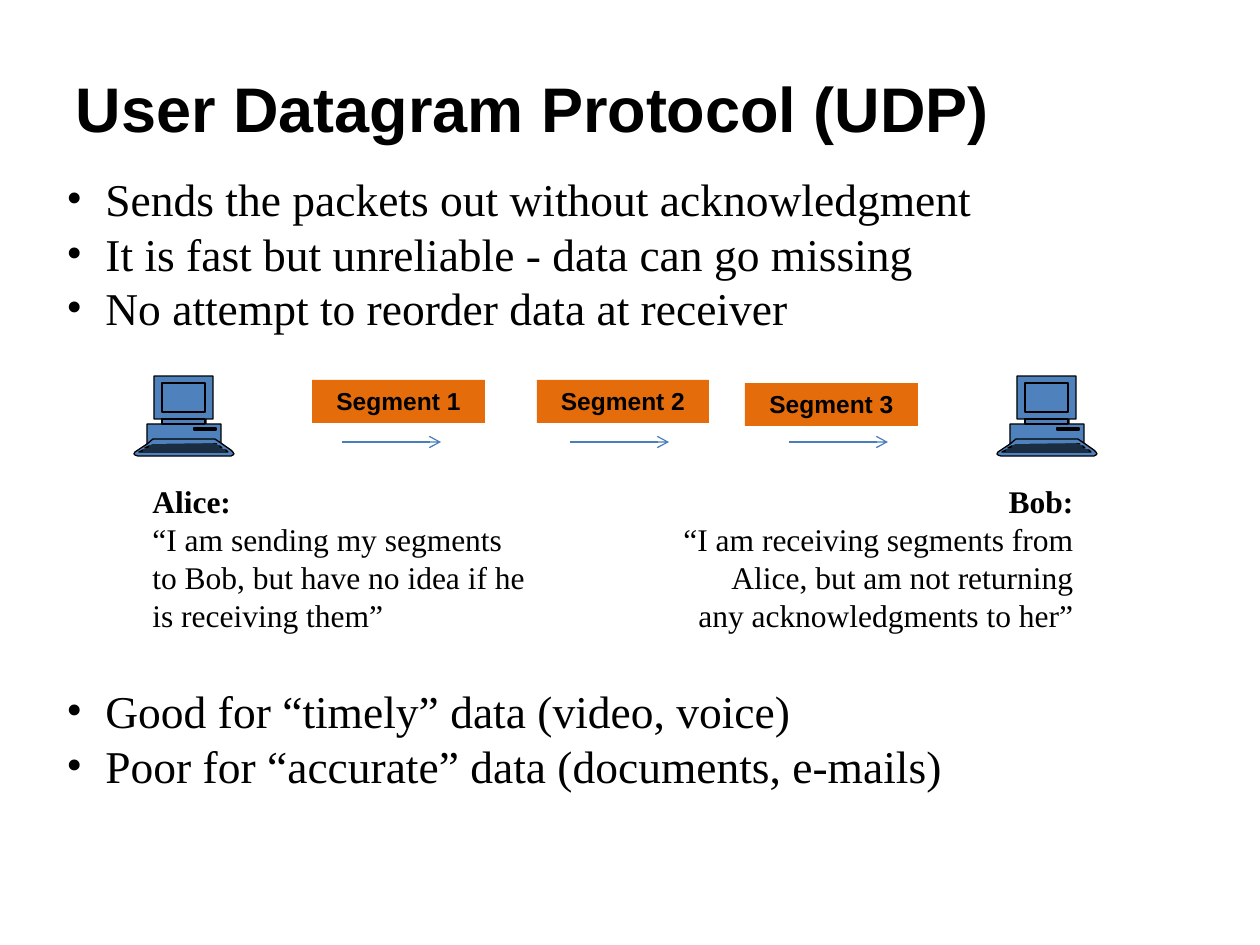
import copy
from dataclasses import dataclass

import pptx
import pptx.dml.color
import pptx.enum.shapes
import pptx.enum.text
import pptx.oxml
import pptx.oxml.ns
import pptx.util

PX = 914400 / 126
BLACK = pptx.dml.color.RGBColor(0x00, 0x00, 0x00)
ORANGE = pptx.dml.color.RGBColor(0xE4, 0x6C, 0x0A)
COMPUTER_BLUE = pptx.dml.color.RGBColor(0x4F, 0x81, 0xBD)
ARROW_BLUE = pptx.dml.color.RGBColor(0x4A, 0x7E, 0xBB)
SANS = "Arial"
SERIF = "Times New Roman"
ALIGN = pptx.enum.text.PP_ALIGN
ANCHOR = pptx.enum.text.MSO_ANCHOR
BULLET_INDENT = 39


@dataclass(frozen=True)
class Box:
    left: int
    top: int
    width: int
    height: int

    def emu(self) -> tuple:
        return tuple(px(n) for n in (self.left, self.top, self.width, self.height))


@dataclass(frozen=True)
class Segment:
    label: str
    box: Box
    arrow_left: int


@dataclass(frozen=True)
class Contour:
    points: tuple
    closed: bool = True


@dataclass(frozen=True)
class Speaker:
    name: str
    lines: tuple
    box: Box
    alignment: ALIGN
    wrap: bool


TITLE_BOX = Box(63, 39, 1134, 137)
ARROW_TOP, ARROW_LENGTH = 442, 99
COMPUTER_TOP = 376
COMPUTER_LEFTS = (134, 997)

SEGMENTS = (
    Segment("Segment 1", Box(312, 380, 173, 43), 342),
    Segment("Segment 2", Box(537, 380, 172, 43), 570),
    Segment("Segment 3", Box(745, 383, 173, 43), 789),
)

SPEAKERS = (
    Speaker("Alice:", ("“I am sending my segments", "to Bob, but have no idea if he",
                       "is receiving them”"),
            Box(140, 476, 398, 164), ALIGN.LEFT, False),
    Speaker("Bob:", ("“I am receiving segments from Alice, but am not returning "
                     "any acknowledgments to her”",),
            Box(669, 476, 417, 164), ALIGN.RIGHT, True),
)

BULLET_LISTS = (
    (Box(54, 165, 1131, 176), (
        "Sends the packets out without acknowledgment",
        "It is fast but unreliable - data can go missing",
        "No attempt to reorder data at receiver")),
    (Box(54, 677, 1131, 122), (
        "Good for “timely” data (video, voice)",
        "Poor for “accurate” data (documents, e-mails)")),
)


def rectangle(left: int, top: int, right: int, bottom: int) -> Contour:
    return Contour(((left, top), (left, bottom), (right, bottom), (right, top)))


COMPUTER = (
    Contour(((97, 74), (87, 67), (87, 48), (72, 48), (72, 43), (79, 43), (79, 0),
             (20, 0), (20, 43), (29, 43), (29, 48), (13, 48), (13, 68), (4, 74),
             (1, 76), (0, 78), (1, 79), (4, 80), (97, 80), (99, 79), (100, 78),
             (99, 76))),
    Contour(((83, 68), (79, 66), (20, 66), (18, 68))),
    Contour(((88, 72), (86, 70), (15, 70), (11, 72))),
    Contour(((94, 76), (92, 74), (9, 74), (5, 76))),
    Contour(((87, 67), (81, 63), (19, 63), (13, 68)), closed=False),
    rectangle(60, 52, 82, 54),
    rectangle(28, 7, 71, 36),
    rectangle(28, 43, 71, 48),
)


def px(pixels: int) -> pptx.util.Emu:
    return pptx.util.Emu(round(pixels * PX))


def add_bullet(paragraph) -> None:
    properties = paragraph._p.get_or_add_pPr()
    properties.set("marL", str(px(BULLET_INDENT)))
    properties.set("indent", str(-px(BULLET_INDENT)))
    namespace = pptx.oxml.ns.nsdecls("a")
    for xml in (
        f'<a:buClr {namespace}><a:srgbClr val="{BLACK}"/></a:buClr>',
        f'<a:buFont {namespace} typeface="{SERIF}"/>',
        f'<a:buChar {namespace} char="•"/>',
    ):
        properties.append(pptx.oxml.parse_xml(xml))


def write_text(frame, lines: tuple, *, font: str, size: int, bold_lines: int = 0,
               alignment: ALIGN = ALIGN.LEFT, anchor: ANCHOR = ANCHOR.TOP,
               wrap: bool = True, bulleted: bool = False) -> None:
    """Fill a text frame, one paragraph a line, the first bold_lines in bold."""
    frame.word_wrap = wrap
    frame.auto_size = pptx.enum.text.MSO_AUTO_SIZE.NONE
    frame.vertical_anchor = anchor
    for index, line in enumerate(lines):
        paragraph = frame.add_paragraph() if index else frame.paragraphs[0]
        paragraph.alignment = alignment
        if bulleted:
            add_bullet(paragraph)
        run = paragraph.add_run()
        run.text = line
        run.font.name = font
        run.font.size = pptx.util.Pt(size)
        run.font.bold = index < bold_lines
        run.font.color.rgb = BLACK


def add_computer(slide, left: int) -> None:
    builder = slide.shapes.build_freeform(*COMPUTER[0].points[0], scale=PX)
    for index, contour in enumerate(COMPUTER):
        if index:
            builder.move_to(*contour.points[0])
        builder.add_line_segments(contour.points[1:], close=contour.closed)
    shape = builder.convert_to_shape(px(left), px(COMPUTER_TOP))
    split_contours(shape)
    shape.shadow.inherit = False
    shape.fill.solid()
    shape.fill.fore_color.rgb = COMPUTER_BLUE
    shape.line.color.rgb = BLACK
    shape.line.width = pptx.util.Pt(0.75)


def split_contours(shape) -> None:
    """Give each contour its own path, so that inner ones are not cut out as holes."""
    outline = shape._element.find(".//" + pptx.oxml.ns.qn("a:path"))
    steps = list(outline)
    current = outline
    for step in steps[1:]:
        if step.tag == pptx.oxml.ns.qn("a:moveTo"):
            following = copy.deepcopy(outline)
            for child in list(following):
                following.remove(child)
            current.addnext(following)
            current = following
        current.append(step)


def add_segment(slide, segment: Segment) -> None:
    shape = slide.shapes.add_shape(
        pptx.enum.shapes.MSO_SHAPE.RECTANGLE, *segment.box.emu())
    shape.shadow.inherit = False
    shape.fill.solid()
    shape.fill.fore_color.rgb = ORANGE
    shape.line.fill.background()
    write_text(shape.text_frame, (segment.label,), font=SANS, size=14, bold_lines=1,
               alignment=ALIGN.CENTER)


def add_arrow(slide, left: int) -> None:
    arrow = slide.shapes.add_connector(
        pptx.enum.shapes.MSO_CONNECTOR.STRAIGHT,
        px(left), px(ARROW_TOP), px(left + ARROW_LENGTH), px(ARROW_TOP))
    arrow.line.color.rgb = ARROW_BLUE
    arrow.line.width = pptx.util.Pt(0.75)
    namespace = pptx.oxml.ns.nsdecls("a")
    arrow.line._get_or_add_ln().append(
        pptx.oxml.parse_xml(f'<a:tailEnd {namespace} type="arrow"/>'))
    arrow._element.spPr.append(pptx.oxml.parse_xml(f"<a:effectLst {namespace}/>"))


def main() -> None:
    presentation = pptx.Presentation()
    presentation.slide_width = pptx.util.Inches(10)
    presentation.slide_height = pptx.util.Inches(7.5)
    slide = presentation.slides.add_slide(presentation.slide_layouts[5])

    title = slide.shapes.title
    title.left, title.top, title.width, title.height = TITLE_BOX.emu()
    write_text(title.text_frame, ("User Datagram Protocol (UDP)",), font=SANS, size=36,
               bold_lines=1, anchor=ANCHOR.MIDDLE)

    for left in COMPUTER_LEFTS:
        add_computer(slide, left)
    for speaker in SPEAKERS:
        text_box = slide.shapes.add_textbox(*speaker.box.emu())
        write_text(text_box.text_frame, (speaker.name, *speaker.lines), font=SERIF,
                   size=18, bold_lines=1, alignment=speaker.alignment, wrap=speaker.wrap)
    for segment in SEGMENTS:
        add_segment(slide, segment)
    for segment in SEGMENTS:
        add_arrow(slide, segment.arrow_left)
    for box, lines in BULLET_LISTS:
        text_box = slide.shapes.add_textbox(*box.emu())
        write_text(text_box.text_frame, lines, font=SERIF, size=26, bulleted=True)

    presentation.save("out.pptx")


if __name__ == "__main__":
    main()
